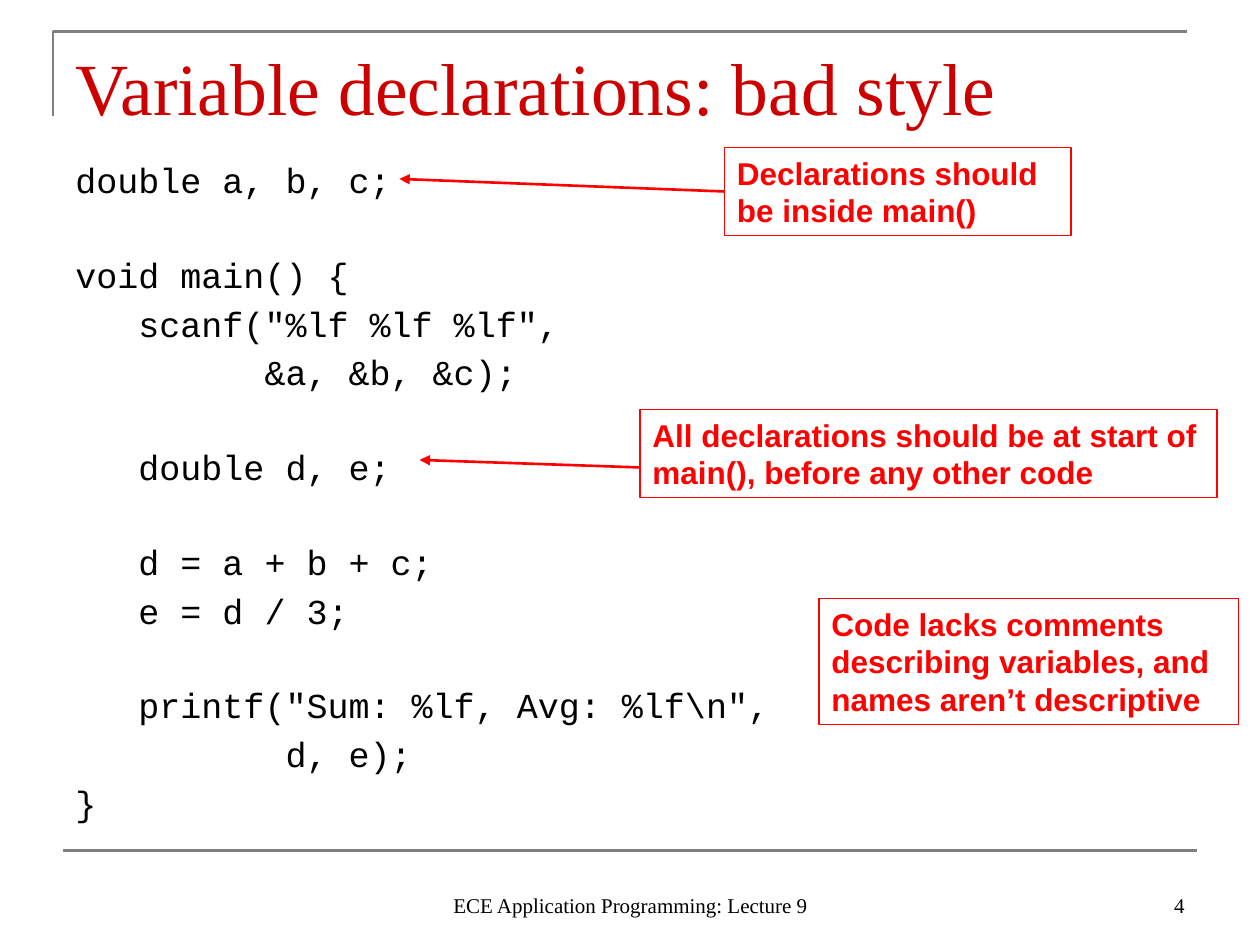
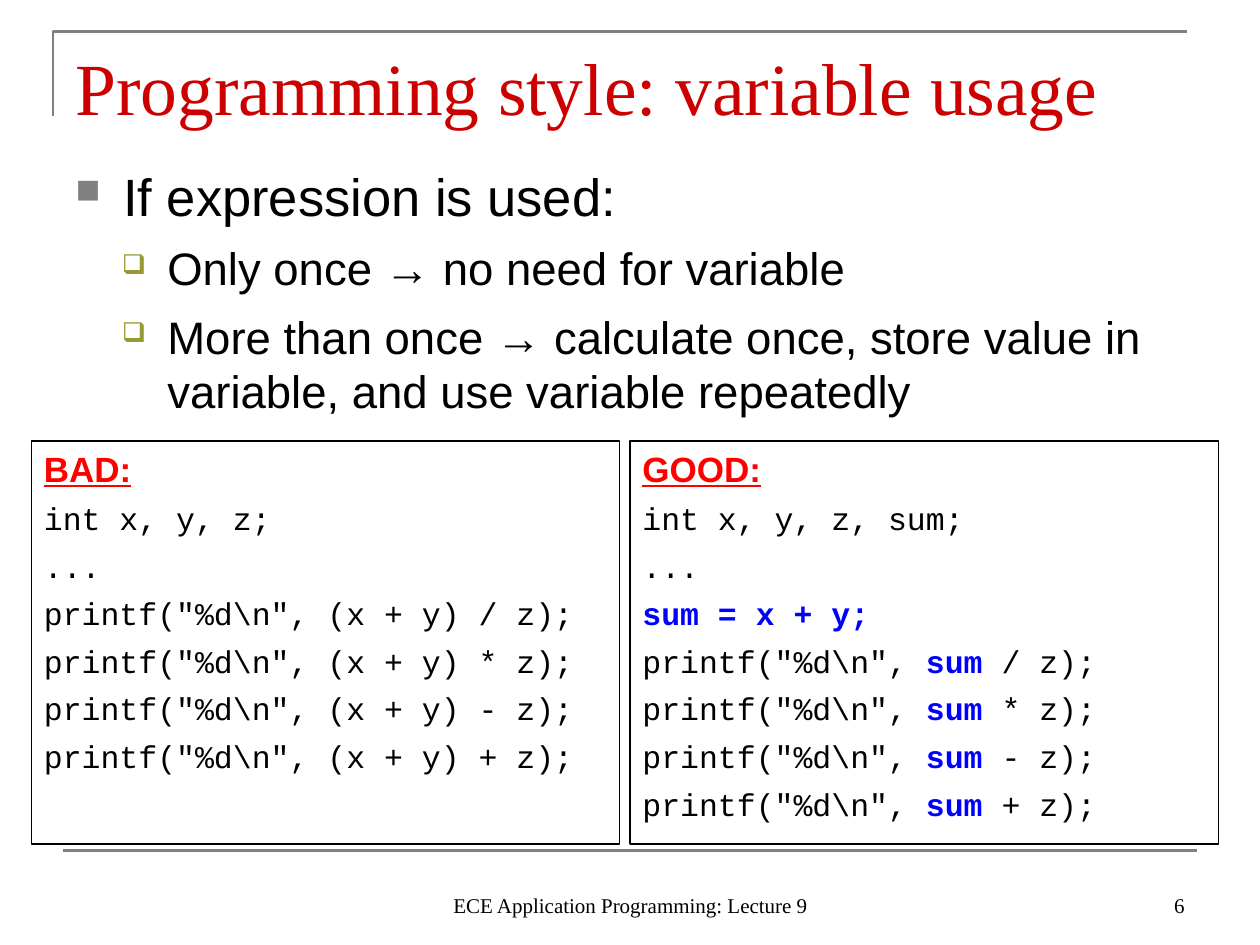
from lxml import etree
from pptx import Presentation
from pptx import util as u
from pptx.dml.color import RGBColor
from pptx.enum import shapes, text
from pptx.oxml import ns

GRAY = RGBColor(0x80, 0x80, 0x80)
TITLE_RED = RGBColor(0xCC, 0, 0)
RED = RGBColor(0xFF, 0, 0)
BLUE = RGBColor(0, 0, 0xFF)
BLACK = RGBColor(0, 0, 0)
OLIVE = RGBColor(0x99, 0x99, 0x33)
SERIF, SANS, MONO = "Times New Roman", "Arial", "Courier New"
FOOTER = "ECE Application Programming: Lecture 9"

CODE_GROUPS = [
    ["double a, b, c;"],
    ["void main() {", '   scanf("%lf %lf %lf",', "         &a, &b, &c);"],
    ["   double d, e;"],
    ["   d = a + b + c;", "   e = d / 3;"],
    ['   printf("Sum: %lf, Avg: %lf\\n",', "          d, e);", "}"],
]
BULLETS = [
    (0, "If expression is used:"),
    (1, "Only once → no need for variable"),
    (1, "More than once → calculate once, store value in variable, "
        "and use variable repeatedly"),
]
BULLET_STYLES = [
    dict(size=30, before=9, margin=0.38, hang=0.38, mark="■", color=GRAY, scale=65),
    dict(size=26, before=7.8, margin=0.73, hang=0.36, mark="❑", color=OLIVE, scale=60),
]
OPERATORS = "/*-+"
BAD_LINES = [[("int x, y, z;", False)], [("...", False)]] + [
    [(f'printf("%d\\n", (x + y) {operator} z);', False)] for operator in OPERATORS]
GOOD_LINES = [[("int x, y, z, sum;", False)], [("...", False)], [("sum = x + y;", True)]] + [
    [('printf("%d\\n", ', False), ("sum ", True), (f"{operator} z);", False)]
    for operator in OPERATORS]


def set_font(font, name, size, color, bold=False):
    font.name = name
    font.size = u.Pt(size)
    font.color.rgb = color
    font.bold = bold


def inches(box):
    return [u.Inches(length) for length in box]


def add_text_box(slide, box):
    frame = slide.shapes.add_textbox(*inches(box)).text_frame
    frame.word_wrap = True
    return frame


def next_paragraph(frame, index):
    return frame.add_paragraph() if index else frame.paragraphs[0]


def add_outlined_box(slide, box, color):
    shape = slide.shapes.add_shape(shapes.MSO_SHAPE.RECTANGLE, *inches(box))
    shape.shadow.inherit = False
    shape.fill.background()
    shape.line.color.rgb = color
    shape.line.width = u.Pt(0.75)
    shape.text_frame.word_wrap = True
    shape.text_frame.vertical_anchor = text.MSO_ANCHOR.TOP
    return shape


def add_line(slide, start, end, color):
    line = slide.shapes.add_connector(
        shapes.MSO_CONNECTOR.STRAIGHT, *inches(start + end))
    line.line.color.rgb = color
    line.line.width = u.Pt(1.5)
    etree.SubElement(line._element.spPr, ns.qn("a:effectLst"))
    return line


def add_frame(slide):
    left, top = 0.42, 0.25
    builder = slide.shapes.build_freeform(*inches((left, top + 0.67)))
    builder.add_line_segments(
        [inches((left, top)), inches((left + 9, top))], close=False)
    bracket = builder.convert_to_shape()
    bracket.shadow.inherit = False
    bracket.fill.background()
    bracket.line.color.rgb = GRAY
    bracket.line.width = u.Pt(1.5)
    add_line(slide, (0.5, 6.75), (9.5, 6.75), GRAY)


def add_footer_text(slide, box, content, alignment):
    frame = add_text_box(slide, box)
    frame.vertical_anchor = text.MSO_ANCHOR.BOTTOM
    paragraph = frame.paragraphs[0]
    paragraph.text = content
    paragraph.alignment = alignment
    set_font(paragraph.font, SERIF, 12, BLACK)


def add_titled_slide(presentation, title, number):
    slide = presentation.slides.add_slide(presentation.slide_layouts[5])
    add_frame(slide)
    placeholder = slide.shapes.title
    placeholder.left, placeholder.top, placeholder.width, placeholder.height = inches(
        (0.5, 0.3, 9, 0.78))
    frame = placeholder.text_frame
    frame.text = title
    frame.auto_size = text.MSO_AUTO_SIZE.NONE
    frame.vertical_anchor = text.MSO_ANCHOR.BOTTOM
    paragraph = frame.paragraphs[0]
    paragraph.alignment = text.PP_ALIGN.LEFT
    set_font(paragraph.font, SERIF, 42, TITLE_RED)
    add_footer_text(slide, (3.42, 6.83, 3.17, 0.5), FOOTER, text.PP_ALIGN.CENTER)
    add_footer_text(slide, (7.17, 6.83, 2.33, 0.5), str(number), text.PP_ALIGN.RIGHT)
    return slide


def add_code_listing(slide, box, groups):
    frame = add_text_box(slide, box)
    for group_index, group in enumerate(groups):
        for line_index, line in enumerate(group):
            paragraph = next_paragraph(frame, group_index + line_index)
            paragraph.text = line
            paragraph.line_spacing = 0.9
            if line_index:
                paragraph.space_before = u.Pt(6.2)
            elif group_index:
                paragraph.space_before = u.Pt(32.5)
            set_font(paragraph.font, MONO, 20, BLACK)


def add_callout(slide, box, content):
    callout = add_outlined_box(slide, box, RED)
    callout.text_frame.auto_size = text.MSO_AUTO_SIZE.SHAPE_TO_FIT_TEXT
    paragraph = callout.text_frame.paragraphs[0]
    paragraph.text = content
    paragraph.alignment = text.PP_ALIGN.LEFT
    set_font(paragraph.font, SANS, 18, RED, bold=True)
    return callout


def add_arrow(slide, start, end):
    arrow = add_line(slide, start, end, RED)
    outline = arrow.line._get_or_add_ln()
    etree.SubElement(outline, ns.qn("a:tailEnd"), type="triangle")
    return arrow


def add_bullet(paragraph, style):
    properties = paragraph._p.get_or_add_pPr()
    properties.set("marL", str(u.Inches(style["margin"])))
    properties.set("indent", str(-u.Inches(style["hang"])))
    color = etree.SubElement(properties, ns.qn("a:buClr"))
    etree.SubElement(color, ns.qn("a:srgbClr"), val=str(style["color"]))
    etree.SubElement(properties, ns.qn("a:buSzPct"), val=str(style["scale"] * 1000))
    etree.SubElement(properties, ns.qn("a:buChar"), char=style["mark"])


def add_bullet_list(slide, box, bullets):
    frame = add_text_box(slide, box)
    for index, (level, content) in enumerate(bullets):
        style = BULLET_STYLES[level]
        paragraph = next_paragraph(frame, index)
        paragraph.text = content
        paragraph.level = level
        add_bullet(paragraph, style)
        if index:
            paragraph.space_before = u.Pt(style["before"])
        set_font(paragraph.font, SANS, style["size"], BLACK)


def add_code_panel(slide, box, heading, lines):
    frame = add_outlined_box(slide, box, BLACK).text_frame
    title = frame.paragraphs[0]
    title.text = heading
    title.alignment = text.PP_ALIGN.LEFT
    set_font(title.font, SANS, 20, RED, bold=True)
    title.font.underline = True
    for line in lines:
        paragraph = frame.add_paragraph()
        paragraph.alignment = text.PP_ALIGN.LEFT
        paragraph.space_before = u.Pt(5.6)
        for content, highlighted in line:
            run = paragraph.add_run()
            run.text = content
            set_font(run.font, MONO, 18, BLUE if highlighted else BLACK, highlighted)


def build_declarations_slide(presentation):
    slide = add_titled_slide(presentation, "Variable declarations: bad style", 4)
    add_code_listing(slide, (0.5, 1.25, 6.17, 5.45), CODE_GROUPS)
    scope_callout = add_callout(
        slide, (5.75, 1.17, 2.75, 0.7), "Declarations should be inside main()")
    scope_arrow = add_arrow(slide, (5.75, 1.52), (3.17, 1.42))
    scope_arrow.begin_connect(scope_callout, 1)
    add_callout(slide, (5.08, 3.25, 4.58, 0.7),
                "All declarations should be at start of main(), before any other code")
    add_arrow(slide, (5.08, 3.71), (3.33, 3.65))
    add_callout(slide, (6.5, 4.75, 3.33, 1),
                "Code lacks comments describing variables, and names aren’t descriptive")


def build_usage_slide(presentation):
    slide = add_titled_slide(presentation, "Programming style: variable usage", 6)
    add_bullet_list(slide, (0.5, 1.25, 9, 2.25), BULLETS)
    panels = [("BAD:", BAD_LINES), ("GOOD:", GOOD_LINES)]
    for index, (heading, lines) in enumerate(panels):
        add_code_panel(slide, (0.25 + index * 4.75, 3.5, 4.67, 3.2), heading, lines)


def main():
    presentation = Presentation()
    presentation.slide_width, presentation.slide_height = inches((10, 7.5))
    build_declarations_slide(presentation)
    build_usage_slide(presentation)
    presentation.save("out.pptx")


if __name__ == "__main__":
    main()
